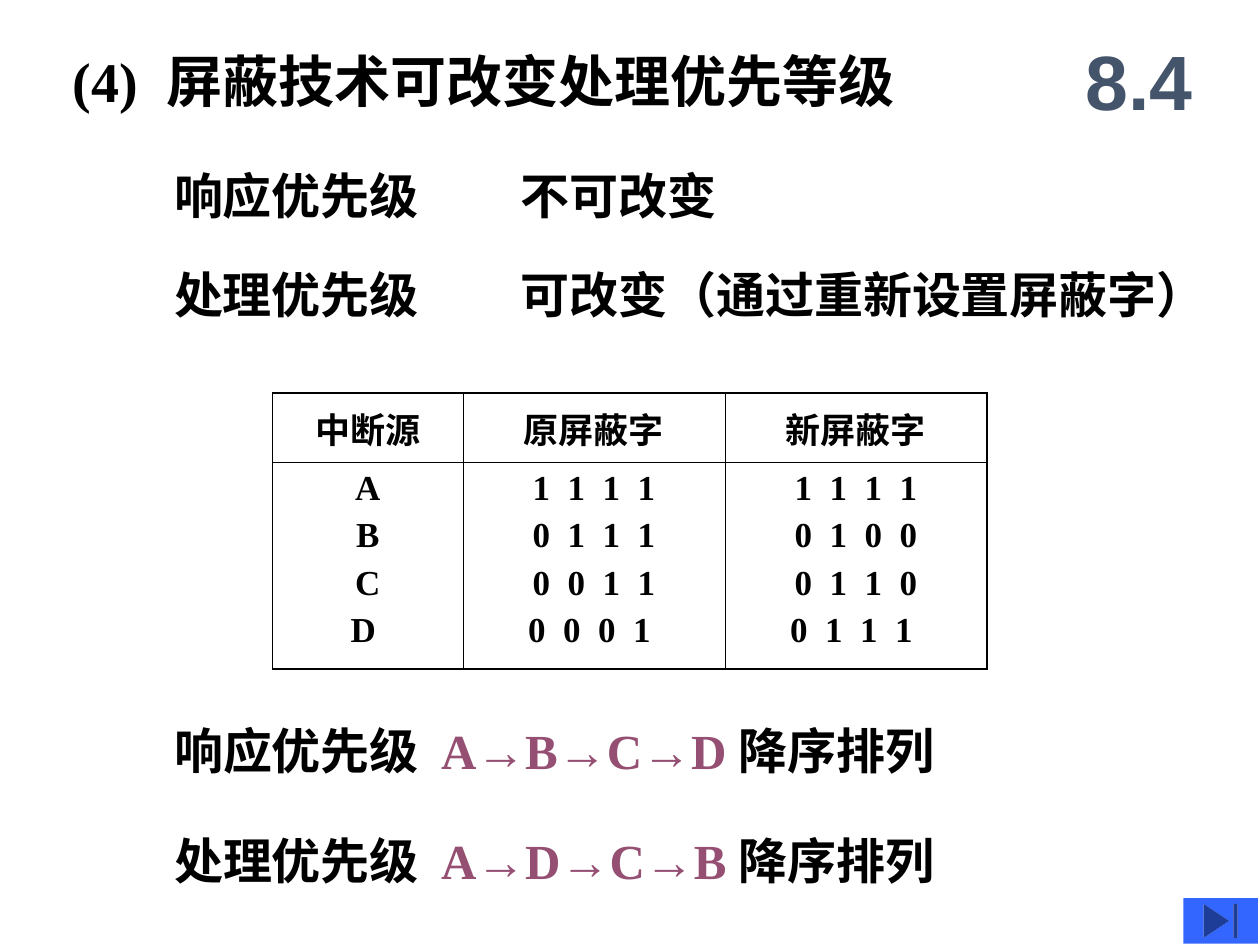
from lxml.etree import SubElement
from pptx import Presentation
from pptx.dml.color import RGBColor
from pptx.enum.shapes import MSO_SHAPE as Shape
from pptx.enum.text import MSO_ANCHOR as Anchor, MSO_AUTO_SIZE as AutoSize, PP_ALIGN as Align
from pptx.oxml.ns import qn
from pptx.util import Pt

BLACK, PLUM, SLATE, BLUE = "000000", "954F72", "44546A", "3366FF"
SERIF = "Times New Roman"
LABEL_LEFT, NOTE_LEFT, LINE_HEIGHT = 99.5, 297.5, 34
OUTER, INNER = 1.08, 0.45


def color(hex_string):
    return RGBColor.from_string(hex_string)


def format_font(font, size, hex_string=BLACK, name=SERIF):
    font.size = Pt(size)
    font.bold = True
    font.name = name
    font.color.rgb = color(hex_string)


def place(shape, left, top, width, height):
    shape.left, shape.top = Pt(left), Pt(top)
    shape.width, shape.height = Pt(width), Pt(height)


def prepare_frame(frame, margin=0):
    frame.word_wrap = True
    frame.auto_size = AutoSize.NONE
    frame.vertical_anchor = Anchor.MIDDLE
    frame.margin_left = frame.margin_right = Pt(margin)
    frame.margin_top = frame.margin_bottom = Pt(margin / 2)


def add_title(slide, text):
    title = slide.shapes.title
    place(title, 41.5, 26, 539.5, 39.5)
    prepare_frame(title.text_frame)
    title.text_frame.text = text
    para = title.text_frame.paragraphs[0]
    para.alignment = Align.LEFT
    format_font(para.runs[0].font, 32)


def add_line(slide, left, top, width, spans):
    """Add one line of 28 pt text made of (text, colour) spans."""
    box = slide.shapes.add_textbox(Pt(left), Pt(top), Pt(width), Pt(LINE_HEIGHT))
    prepare_frame(box.text_frame)
    para = box.text_frame.paragraphs[0]
    for text, hex_string in spans:
        span = para.add_run()
        span.text = text
        format_font(span.font, 28, hex_string)


def add_section_number(slide, text):
    box = slide.shapes.add_textbox(Pt(606), Pt(12.5), Pt(90), Pt(66))
    prepare_frame(box.text_frame, margin=7.2)
    box.text_frame.text = text
    para = box.text_frame.paragraphs[0]
    para.alignment = Align.CENTER
    format_font(para.runs[0].font, 44, SLATE, "Arial")


def set_borders(cell, widths):
    """Draw the left, right, top and bottom borders, in that order."""
    properties = cell._tc.get_or_add_tcPr()
    for index, (side, width) in enumerate(zip(("lnL", "lnR", "lnT", "lnB"), widths)):
        line = properties.makeelement(qn(f"a:{side}"), {"w": str(int(Pt(width)))})
        fill = SubElement(line, qn("a:solidFill"))
        SubElement(fill, qn("a:srgbClr"), val=BLACK)
        properties.insert(index, line)


def add_mask_table(slide, rows, column_widths, row_heights):
    frame = slide.shapes.add_table(
        len(rows), len(column_widths), Pt(155.75), Pt(224.75),
        Pt(sum(column_widths)), Pt(sum(row_heights)))
    table = frame.table
    table.first_row = table.horz_banding = False
    for column, width in zip(table.columns, column_widths):
        column.width = Pt(width)
    for row, height in zip(table.rows, row_heights):
        row.height = Pt(height)

    last_row, last_column = len(rows) - 1, len(column_widths) - 1
    for r, texts in enumerate(rows):
        for c, text in enumerate(texts):
            cell = table.cell(r, c)
            cell.fill.background()
            cell.vertical_anchor = Anchor.MIDDLE if r == 0 else Anchor.TOP
            cell.text_frame.text = text
            for index, para in enumerate(cell.text_frame.paragraphs):
                para.alignment = Align.CENTER
                para.space_before = Pt(5 if index else 0)
                format_font(para.runs[0].font, 20)
            edges = (c == 0, c == last_column, r == 0, r == last_row)
            set_borders(cell, [OUTER if edge else INNER for edge in edges])


def add_end_button(slide):
    button = slide.shapes.add_shape(
        Shape.ACTION_BUTTON_END, Pt(676.25), Pt(513.25), Pt(42.5), Pt(26))
    button.shadow.inherit = False
    button.fill.solid()
    button.fill.fore_color.rgb = color(BLUE)
    button.line.fill.background()


def main():
    deck = Presentation()
    deck.slide_width, deck.slide_height = Pt(720), Pt(540)
    slide = deck.slides.add_slide(deck.slide_layouts[5])

    # Heading
    add_title(slide, "(4)  屏蔽技术可改变处理优先等级")
    add_section_number(slide, "8.4")

    # Which priority can be changed
    notes = [
        (94.5, "响应优先级", "不可改变"),
        (151, "处理优先级", "可改变（通过重新设置屏蔽字）"),
    ]
    for top, label, note in notes:
        add_line(slide, LABEL_LEFT, top, 168.5, [(label, BLACK)])
        add_line(slide, NOTE_LEFT, top, 28 * len(note) + 8, [(note, BLACK)])

    # Old and new mask words
    rows = [
        ("中断源", "原屏蔽字", "新屏蔽字"),
        ("A\nB\nC\nD ",
         "1  1  1  1\n0  1  1  1\n0  0  1  1\n0  0  0  1 ",
         "1  1  1  1\n0  1  0  0\n0  1  1  0\n0  1  1  1 "),
    ]
    add_mask_table(slide, rows, (108.75, 149.75, 149.75), (39.5, 118))

    # Resulting orders
    orders = [
        (411.75, "响应优先级  ", "A→B→C→D "),
        (474.5, "处理优先级  ", "A→D→C→B "),
    ]
    for top, label, order in orders:
        add_line(slide, LABEL_LEFT, top, 500,
                 [(label, BLACK), (order, PLUM), ("降序排列", BLACK)])

    # Navigation
    add_end_button(slide)
    deck.save("out.pptx")


if __name__ == "__main__":
    main()
